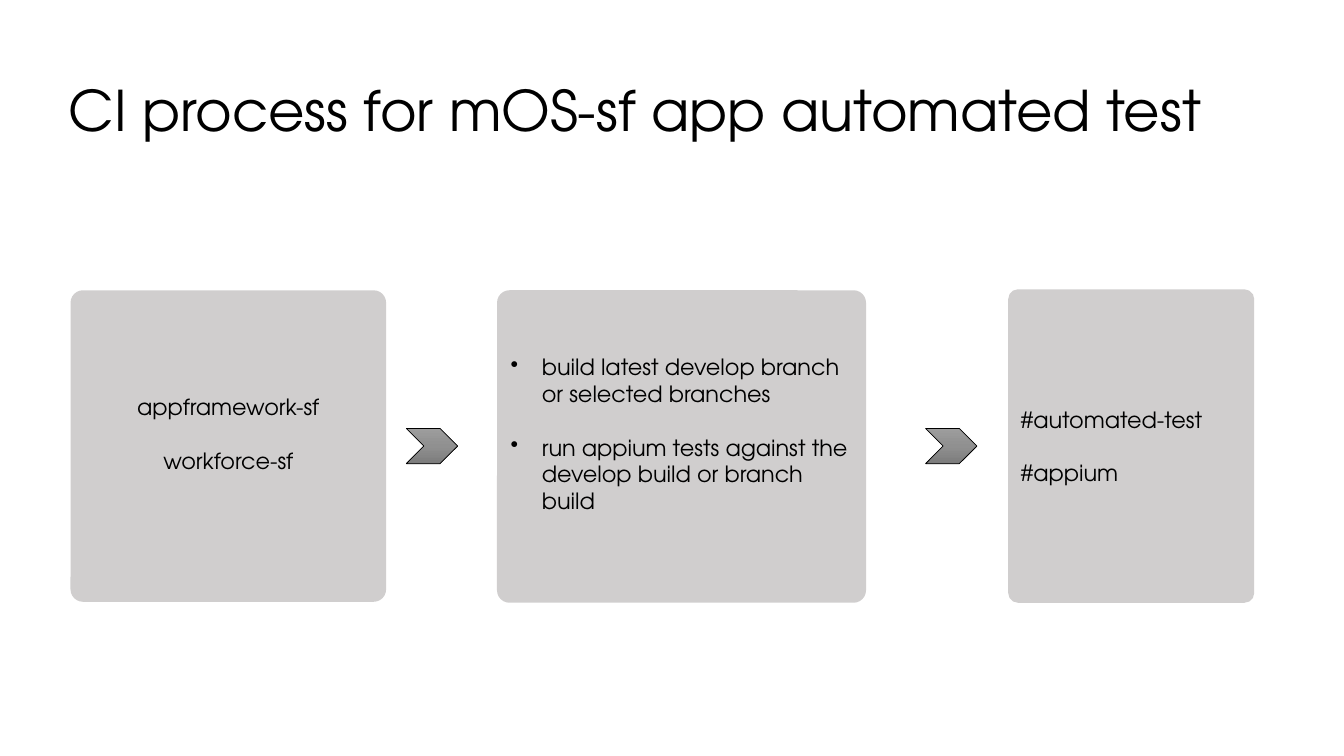
"""Build the slide on the CI process for automated app tests."""
import copy
from dataclasses import dataclass

import pptx
import pptx.dml.color
import pptx.enum.shapes
import pptx.enum.text
import pptx.oxml.ns
import pptx.util
from pptx.util import Inches

Align = pptx.enum.text.PP_ALIGN
Shape = pptx.enum.shapes.MSO_SHAPE
qn = pptx.oxml.ns.qn


@dataclass(frozen=True)
class Theme:
    """Hold the font, type sizes and colours."""
    font: str = "TeX Gyre Adventor"
    head: int = 40
    body: int = 16
    gap: int = 19
    ink: str = "000000"
    card: str = "D0CECE"
    shades: tuple = ("9D9D9D", "909090", "7C7C7C")


THEME = Theme()


def paint(text):
    """Turn a hex string into a colour."""
    return pptx.dml.color.RGBColor.from_string(text)


def style(para, size, align=Align.LEFT):
    """Align a paragraph and format its runs."""
    para.alignment = align
    for run in para.runs:
        run.font.name = THEME.font
        run.font.size = pptx.util.Pt(size)
        run.font.color.rgb = paint(THEME.ink)


def add_title(slide, text):
    """Fill and place the title."""
    title = slide.shapes.title
    title.left, title.top = Inches(0.58), Inches(0.4)
    title.width, title.height = Inches(11.83), Inches(1.45)
    frame = title.text_frame
    frame.text = text
    frame.auto_size = pptx.enum.text.MSO_AUTO_SIZE.NONE
    frame.vertical_anchor = pptx.enum.text.MSO_ANCHOR.MIDDLE
    frame.paragraphs[0].line_spacing = 0.9
    style(frame.paragraphs[0], THEME.head)


def add_bullet(para):
    """Give a paragraph a hanging bullet."""
    props = para._p.get_or_add_pPr()
    props.set("marL", str(Inches(0.31)))
    props.set("indent", str(Inches(-0.31)))
    mark = props.makeelement(qn("a:buChar"), {"char": "•"})
    props.append(mark)


def add_card(slide, left, top, width, height, lines,
             align=Align.LEFT, foot=0.05, bullet=False):
    """Add a rounded card with spaced lines of text."""
    card = slide.shapes.add_shape(
        Shape.ROUNDED_RECTANGLE, Inches(left), Inches(top),
        Inches(width), Inches(height))
    card.adjustments[0] = 0.04
    card.shadow.inherit = False
    card.fill.solid()
    card.fill.fore_color.rgb = paint(THEME.card)
    card.line.fill.background()
    frame = card.text_frame
    frame.word_wrap = True
    frame.margin_bottom = Inches(foot)
    frame.vertical_anchor = pptx.enum.text.MSO_ANCHOR.MIDDLE
    frame.text = "\n".join(lines)
    for index, para in enumerate(frame.paragraphs):
        if bullet:
            add_bullet(para)
        if index:
            para.space_before = pptx.util.Pt(THEME.gap)
        style(para, THEME.body, align)


def add_arrow(slide, left):
    """Add a shaded chevron between two cards."""
    arrow = slide.shapes.add_shape(
        Shape.CHEVRON, Inches(left), Inches(4.25),
        Inches(0.51), Inches(0.35))
    arrow.shadow.inherit = False
    arrow.line.color.rgb = paint(THEME.ink)
    arrow.line.width = pptx.util.Pt(0.5)
    arrow.fill.gradient()
    arrow.fill.gradient_angle = 270
    stops = arrow._element.spPr.find(".//" + qn("a:gsLst"))
    stops.insert(1, copy.deepcopy(stops[0]))
    for index, shade in enumerate(THEME.shades):
        stop = arrow.fill.gradient_stops[index]
        stop.position = index / 2
        stop.color.rgb = paint(shade)


def main():
    """Build and save the slide."""
    deck = pptx.Presentation()
    deck.slide_width, deck.slide_height = Inches(13.33), Inches(7.5)
    slide = deck.slides.add_slide(deck.slide_layouts[5])
    add_title(slide, "CI process for mOS-sf app automated test")
    add_card(slide, 10, 2.87, 2.44, 3.11, ["#automated-test", "#appium"])
    add_card(slide, 0.7, 2.88, 3.13, 3.09,
             ["appframework-sf", "workforce-sf"], Align.CENTER, 0.3)
    add_card(slide, 4.93, 2.88, 3.66, 3.1,
             ["build latest develop branch or selected branches",
              "run appium tests against the develop build or branch build"],
             foot=0.3, bullet=True)
    for left in (4.03, 9.18):
        add_arrow(slide, left)
    deck.save("out.pptx")


if __name__ == "__main__":
    main()
